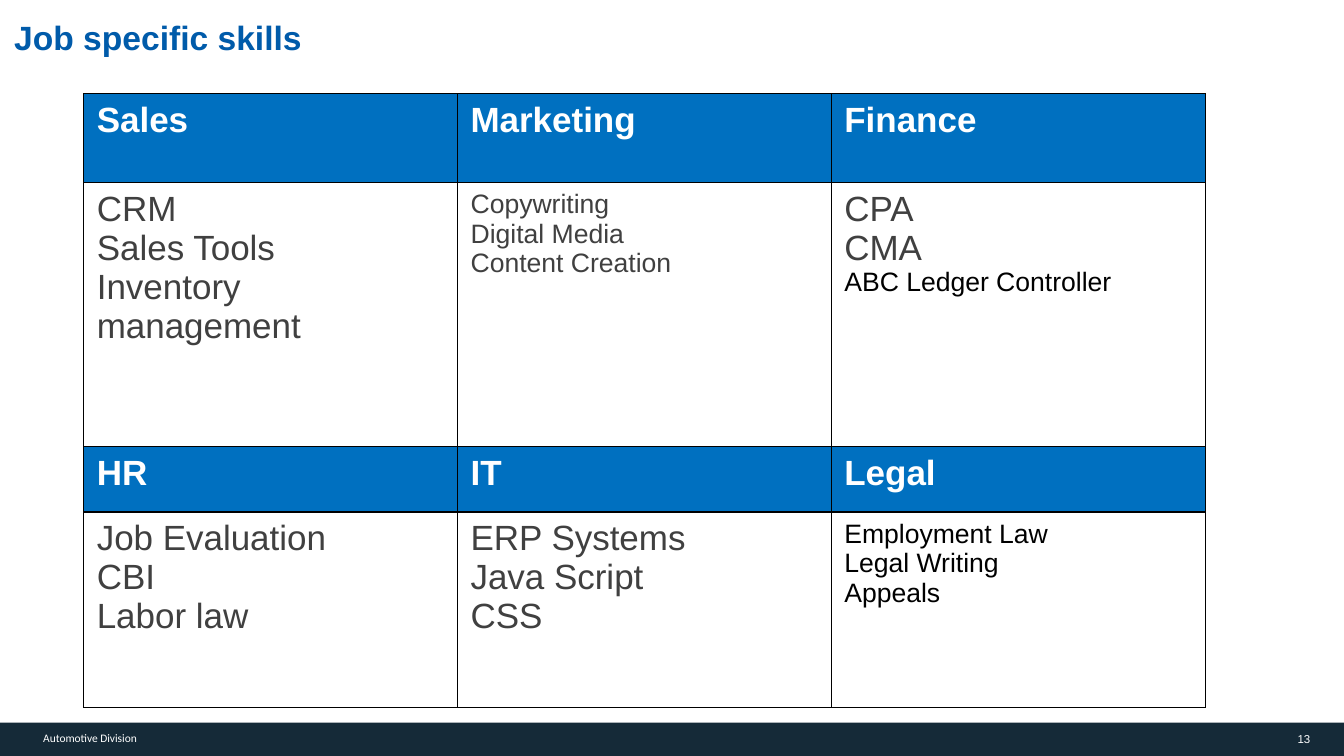
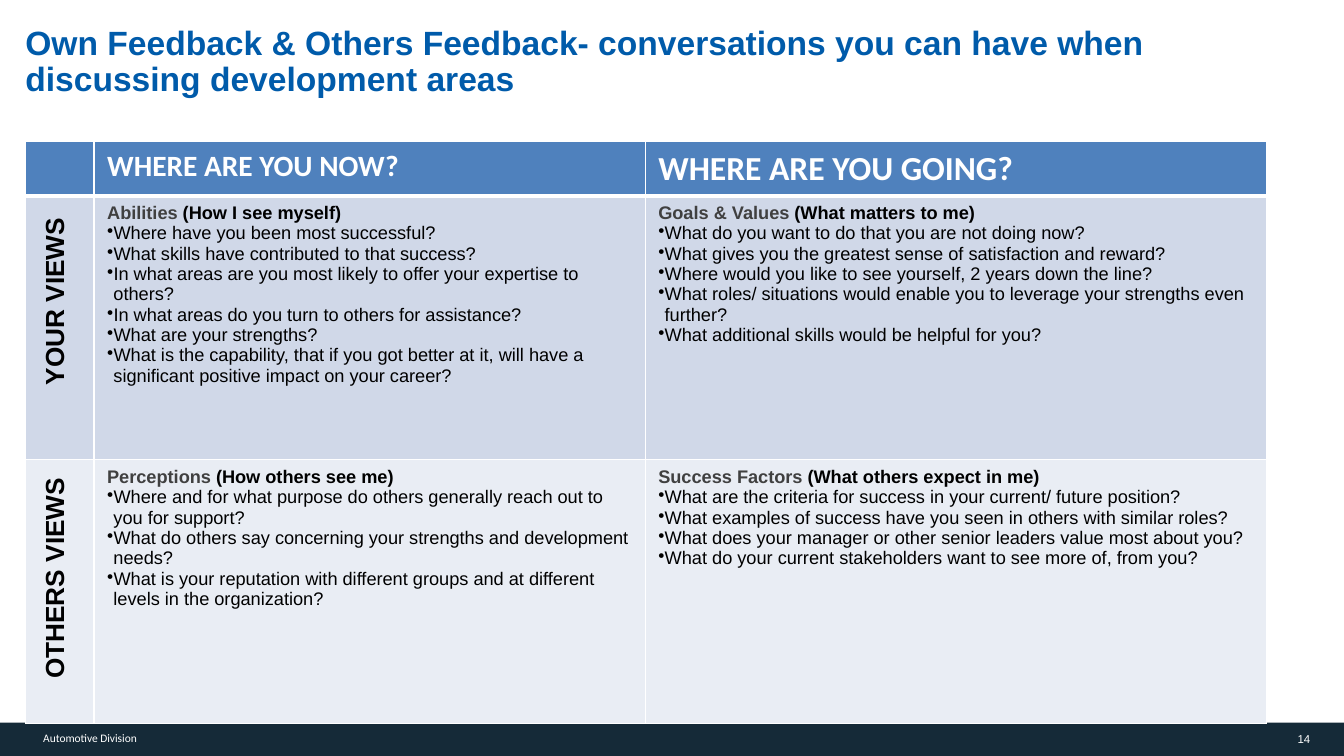
"""Builds two slides on job skills and feedback conversations."""
from pptx import Presentation
from pptx.dml.color import RGBColor
from pptx.enum.shapes import MSO_SHAPE as SHAPE
from pptx.enum.text import MSO_ANCHOR as ANCHOR, PP_ALIGN as ALIGN
from pptx.oxml import parse_xml
from pptx.oxml.ns import nsdecls
from pptx.util import Cm, Pt
from lxml import etree

COLORS = {
    "band": "152A38", "title": "005BAA", "white": "FFFFFF", "black": "000000",
    "grey": "404040", "skill": "0070C0", "view": "4F81BD",
    "row_dark": "D0D8E8", "row_light": "E9EDF4",
}
FIRST_NUMBER = 13
BULLET_INDENT = Cm(0.16)


class Deck:
    """Holds the shared style and the slide being built."""

    def __init__(self):
        self.prs = Presentation()
        self.prs.slide_width, self.prs.slide_height = Cm(33.87), Cm(19.05)
        self.prs.element.set("firstSlideNum", str(FIRST_NUMBER))
        self.s = None

    def rgb(self, name):
        return RGBColor.from_string(COLORS[name])

    def font(self, font, size, color, bold=False, name="Arial"):
        font.size, font.bold, font.name = Pt(size), bold, name
        font.color.rgb = self.rgb(color)

    def slide(self):
        self.s = self.prs.slides.add_slide(self.prs.slide_layouts[6])
        band = self.s.shapes.add_shape(SHAPE.RECTANGLE, 0, Cm(18.21), self.prs.slide_width, Cm(0.84))
        band.shadow.inherit = False
        band.fill.solid()
        band.fill.fore_color.rgb = self.rgb("band")
        band.line.fill.background()
        self.number()
        self.text("Automotive Division", (0.84, 18.29, 2.95, 0.61), 8.2, "white", name="Calibri", wrap=False)

    def number(self):
        value = FIRST_NUMBER + len(self.prs.slides) - 1
        sp = self.text("", (32.66, 18.44, 0.36, 0.36), 8.2, "white", wrap=False, inset=False, anchor=ANCHOR.MIDDLE)
        p = sp.text_frame.paragraphs[0]
        p.alignment = ALIGN.RIGHT
        field = parse_xml(
            f'<a:fld {nsdecls("a")} id="{{B6F15528-21DE-4FAA-801E-634DDDAF4B2B}}" type="slidenum">'
            f'<a:rPr lang="en-US" sz="820"><a:solidFill><a:srgbClr val="{COLORS["white"]}"/></a:solidFill>'
            f'<a:latin typeface="Arial"/></a:rPr><a:t>{value}</a:t></a:fld>')
        p._p.append(field)

    def text(self, text, box, size, color, bold=False, name="Arial", wrap=True, inset=True, anchor=ANCHOR.TOP):
        sp = self.s.shapes.add_textbox(*map(Cm, box))
        tf = sp.text_frame
        tf.word_wrap, tf.vertical_anchor = wrap, anchor
        if not inset:
            tf.margin_left = tf.margin_top = tf.margin_right = tf.margin_bottom = 0
        p = tf.paragraphs[0]
        if text:
            p.add_run().text = text
        self.font(p.font, size, color, bold, name)
        return sp

    def title(self, text, box, anchor=ANCHOR.TOP):
        sp = self.text(text, box, 24, "title", bold=True, inset=False, anchor=anchor)
        sp.text_frame.paragraphs[0].line_spacing = 0.9 if anchor == ANCHOR.BOTTOM else 1.0

    def side_label(self, text, center_y, length):
        center_x, height = 1.37, 1.07
        box = (center_x - length / 2, center_y - height / 2, length, height)
        self.text(text, box, 18.7, "black", bold=True, wrap=False).rotation = 270

    def table(self, left, top, widths, heights):
        frame = self.s.shapes.add_table(len(heights), len(widths), Cm(left), Cm(top),
                                        Cm(sum(widths)), Cm(sum(heights)))
        table = frame.table
        table.first_row = table.horz_banding = False
        for column, width in zip(table.columns, widths):
            column.width = Cm(width)
        for row, height in zip(table.rows, heights):
            row.height = Cm(height)
        return table

    def cell(self, cell, fill, border, top=1, bottom=1):
        cell.margin_left = cell.margin_right = Cm(0.33)
        cell.margin_top = cell.margin_bottom = Cm(0.18)
        if fill:
            cell.fill.solid()
            cell.fill.fore_color.rgb = self.rgb(fill)
        else:
            cell.fill.background()
        tc_pr = cell._tc.get_or_add_tcPr()
        for i, (side, width) in enumerate({"L": 1, "R": 1, "T": top, "B": bottom}.items()):
            tc_pr.insert(i, parse_xml(
                f'<a:ln{side} {nsdecls("a")} w="{Pt(width)}"><a:solidFill>'
                f'<a:srgbClr val="{COLORS[border]}"/></a:solidFill></a:ln{side}>'))

    def lines(self, cell, lines):
        tf = cell.text_frame
        for i, (text, size, color, bold, name) in enumerate(lines):
            p = tf.add_paragraph() if i else tf.paragraphs[0]
            p.add_run().text = text
            self.font(p.font, size, color, bold, name)

    def questions(self, cell, topic, aside, questions):
        tf = cell.text_frame
        p = tf.paragraphs[0]
        p.font.size, p.font.bold, p.font.name = Pt(13), True, "Arial"
        for text, color in ((f"{topic} ", "grey"), (f"({aside})", "black")):
            r = p.add_run()
            r.text = text
            r.font.color.rgb = self.rgb(color)
        for question in questions:
            p = tf.add_paragraph()
            p.add_run().text = question
            p_pr = p._p.get_or_add_pPr()
            p_pr.set("marL", str(BULLET_INDENT))
            p_pr.set("indent", str(-BULLET_INDENT))
            bullet = etree.SubElement(p_pr, p_pr.tag.replace("pPr", "buChar"))
            bullet.set("char", "•")
            self.font(p.font, 13, "black")


SKILLS = [
    [("Sales", [("CRM\nSales Tools\nInventory management", 25, "grey")]),
     ("Marketing", [("Copywriting\nDigital Media\nContent Creation", 19, "grey")]),
     ("Finance", [("CPA\nCMA", 25, "grey"), ("ABC Ledger Controller", 19, "black")])],
    [("HR", [("Job Evaluation\nCBI\nLabor law", 25, "grey")]),
     ("IT", [("ERP Systems\nJava Script\nCSS", 25, "grey")]),
     ("Legal", [("Employment Law\nLegal Writing\nAppeals", 19, "black")])],
]

VIEWS = [
    [("Abilities", "How I see myself", [
        "Where have you been most successful?",
        "What skills have contributed to that success?",
        "In what areas are you most likely to offer your expertise to others?",
        "In what areas do you turn to others for assistance?",
        "What are your strengths?",
        "What is the capability, that if you got better at it, will have a "
        "significant positive impact on your career?"]),
     ("Goals & Values", "What matters to me", [
         "What do you want to do that you are not doing now?",
         "What gives you the greatest sense of satisfaction and reward?",
         "Where would you like to see yourself, 2 years down the line?",
         "What roles/ situations would enable you to leverage your strengths even further?",
         "What additional skills would be helpful for you?"])],
    [("Perceptions", "How others see me", [
        "Where and for what purpose do others generally reach out to you for support?",
        "What do others say concerning your strengths and development needs?",
        "What is your reputation with different groups and at different levels in the organization?"]),
     ("Success Factors", "What others expect in me", [
         "What are the criteria for success in your current/ future position?",
         "What examples of success have you seen in others with similar roles?",
         "What does your manager or other senior leaders value most about you?",
         "What do your current stakeholders want to see more of, from you?"])],
]


def skills_slide(deck):
    deck.slide()
    deck.title("Job specific skills", (0.36, 0.43, 32.56, 1.02))
    table = deck.table(2.11, 2.36, [9.42] * 3, [2.24, 6.65, 1.65, 4.93])
    for i, group in enumerate(SKILLS):
        for column, (heading, blocks) in enumerate(group):
            head, body = table.cell(2 * i, column), table.cell(2 * i + 1, column)
            deck.cell(head, "skill", "black")
            deck.lines(head, [(heading, 25, "white", True, "Arial")])
            deck.cell(body, None, "black")
            deck.lines(body, [(line, size, color, False, "Arial")
                              for text, size, color in blocks for line in text.split("\n")])


def feedback_slide(deck):
    deck.slide()
    deck.title("Own Feedback & Others Feedback- conversations you can have when discussing development areas",
               (0.64, 1.02, 31.29, 1.47), ANCHOR.BOTTOM)
    table = deck.table(0.64, 3.56, [1.73, 13.89, 15.65], [1.35, 6.65, 6.65])
    rows = [("view", 1, 3), ("row_dark", 3, 1), ("row_light", 1, 1)]
    for row, (fill, top, bottom) in enumerate(rows):
        for column in range(3):
            deck.cell(table.cell(row, column), fill, "white", top, bottom)
    for column, (heading, size) in enumerate([("WHERE ARE YOU NOW?", 21), ("WHERE ARE YOU GOING?", 24)], 1):
        deck.lines(table.cell(0, column), [(heading, size, "white", True, "Calibri")])
    for row, views in enumerate(VIEWS, 1):
        for column, view in enumerate(views, 1):
            deck.questions(table.cell(row, column), *view)
    deck.side_label("YOUR VIEWS", 7.57, 4.78)
    deck.side_label("OTHERS VIEWS", 14.55, 5.61)


def main():
    deck = Deck()
    skills_slide(deck)
    feedback_slide(deck)
    deck.prs.save("out.pptx")


if __name__ == "__main__":
    main()
